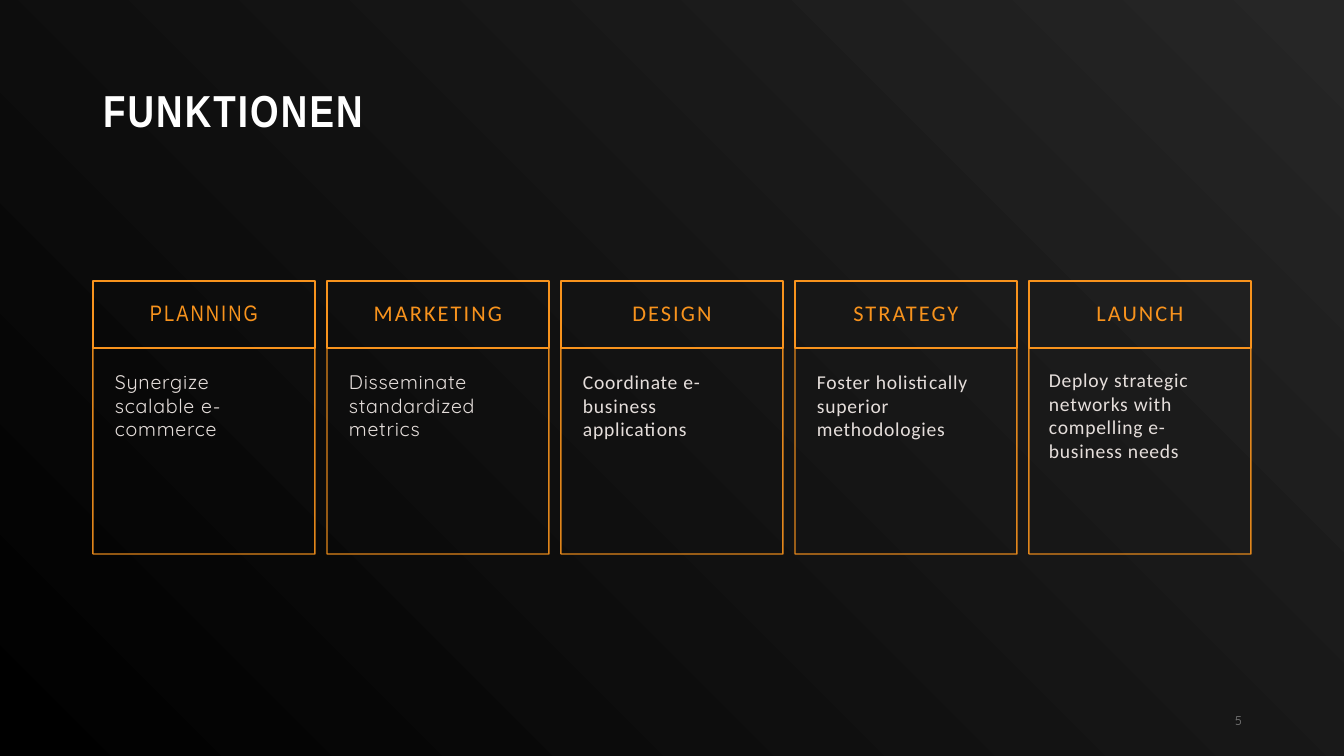
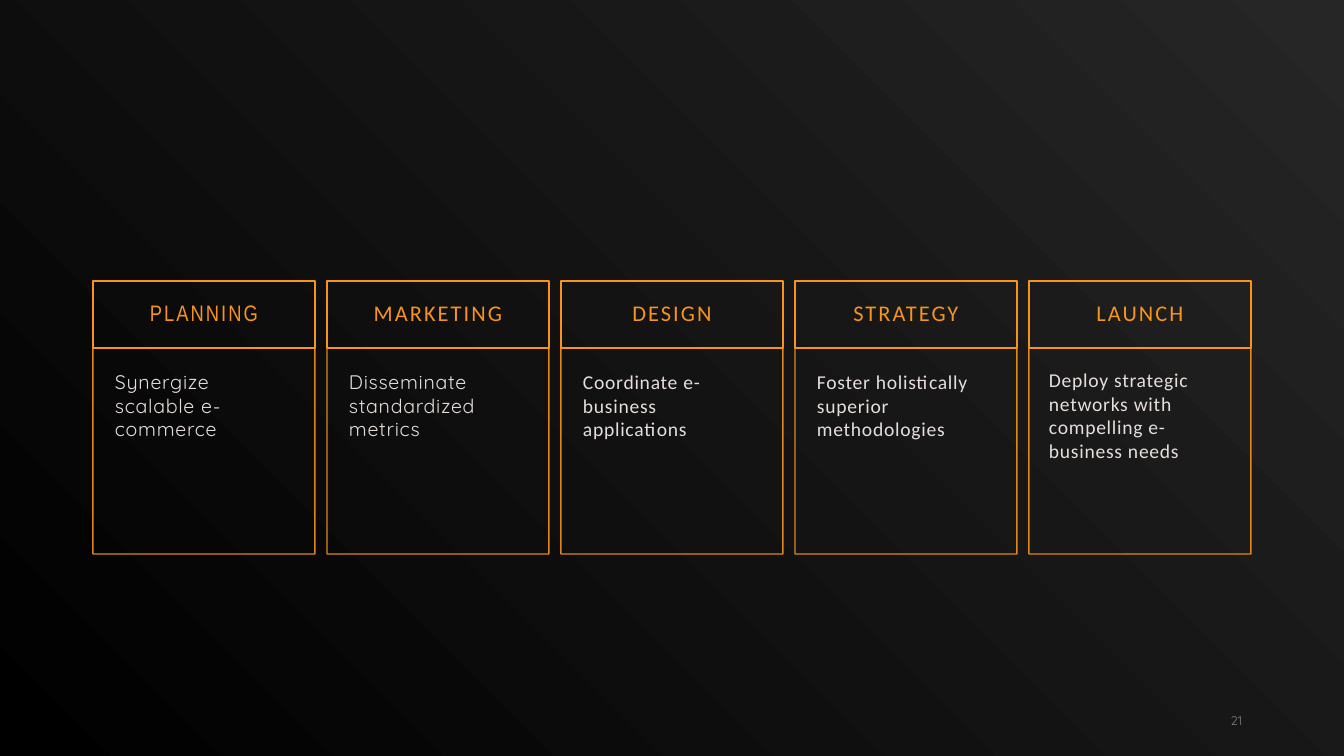
from lxml import etree
from pptx import Presentation
from pptx.dml.color import RGBColor
from pptx.enum.shapes import MSO_SHAPE
from pptx.enum.text import MSO_ANCHOR, PP_ALIGN
from pptx.oxml.ns import qn
from pptx.util import Emu, Pt

RECTANGLE = MSO_SHAPE.RECTANGLE
TOP, MIDDLE = MSO_ANCHOR.TOP, MSO_ANCHOR.MIDDLE
LEFT, CENTER, RIGHT = PP_ALIGN.LEFT, PP_ALIGN.CENTER, PP_ALIGN.RIGHT

PX_PER_INCH = 100.8
TITLE_ONLY, BLANK = 5, 6
NARROW, SANS, ROUND = "Arial Narrow", "Calibri", "Quicksand"
BLACK, CHARCOAL, WHITE = "000000", "262626", "FFFFFF"
ORANGE, CREAM, GREY = "F8931D", "E5DEDB", "808080"

CARD_LEFT, CARD_STEP, CARD_WIDTH = 93, 234, 222
HEADING_TOP, HEADING_HEIGHT = 281, 67
BODY_TOP, BODY_HEIGHT = HEADING_TOP + HEADING_HEIGHT, 206
HEADING_INSET = 17

PHASES = [
    ("PLANNING", NARROW, "Synergize scalable e-commerce", ROUND, 22),
    ("MARKETING", SANS, "Disseminate standardized metrics", ROUND, 22),
    ("DESIGN", SANS, "Coordinate e-business applications", SANS, 22),
    ("STRATEGY", SANS, "Foster holistically superior methodologies", SANS, 22),
    ("LAUNCH", SANS, "Deploy strategic networks with compelling e-business needs", SANS, 20),
]
PAGES = [("FUNKTIONEN", "5"), (None, "21")]


def px(length):
    return Emu(round(length * 914400 / PX_PER_INCH))


def rgb(value):
    return RGBColor.from_string(value)


class Deck:
    """Holds the shared style and the slide being built."""

    def __init__(self):
        self.prs = Presentation()
        self.prs.slide_width, self.prs.slide_height = px(1344), px(756)
        backdrop = self.prs.slide_master.background.fill
        backdrop.gradient()
        backdrop.gradient_angle = 45
        for stop, shade in zip(backdrop.gradient_stops, (BLACK, CHARCOAL)):
            stop.color.rgb = rgb(shade)
        self.slide = None

    def start(self, layout):
        self.slide = self.prs.slides.add_slide(self.prs.slide_layouts[layout])

    def put_text(self, shape, text, font, size, color, align=LEFT, anchor=MIDDLE,
                 tracking=0, spacing=None, inset=None, bold=False):
        frame = shape.text_frame
        frame.word_wrap = True
        frame.vertical_anchor = anchor
        if inset is not None:
            frame.margin_left = frame.margin_right = px(inset)
            frame.margin_top = frame.margin_bottom = px(inset)
        paragraph = frame.paragraphs[0]
        paragraph.alignment = align
        paragraph.line_spacing = spacing
        run = paragraph.add_run()
        run.text = text
        run.font.name, run.font.size, run.font.bold = font, Pt(size), bold
        run.font.color.rgb = rgb(color)
        run._r.get_or_add_rPr().set("spc", str(round(tracking * 100)))

    def title(self, text):
        title = self.slide.shapes.title
        title.left, title.top, title.width, title.height = map(px, (93, 39, 1160, 148))
        self.put_text(title, text, NARROW, 32, WHITE, tracking=1.5, spacing=0.9, bold=True)

    def frame(self, left, top, width, height, opacity=100):
        frame = self.slide.shapes.add_shape(RECTANGLE, *map(px, (left, top, width, height)))
        frame.shadow.inherit = False
        frame.fill.background()
        frame.line.color.rgb = rgb(ORANGE)
        frame.line.width = Pt(1)
        if opacity < 100:
            color = frame.element.spPr.find(".//" + qn("a:srgbClr"))
            etree.SubElement(color, qn("a:alpha"), val=str(opacity * 1000))
        return frame

    def card(self, left, heading, heading_font, body, body_font, body_inset):
        header = self.frame(left, HEADING_TOP, CARD_WIDTH, HEADING_HEIGHT)
        self.put_text(header, heading, heading_font, 16, ORANGE, align=CENTER,
                      tracking=1.5, spacing=0.9, inset=HEADING_INSET)
        panel = self.frame(left, BODY_TOP, CARD_WIDTH, BODY_HEIGHT, opacity=90)
        self.put_text(panel, body, body_font, 14, CREAM, anchor=TOP,
                      tracking=0.5, inset=body_inset)

    def page_number(self, number):
        footer = self.slide.shapes.add_textbox(*map(px, (950, 701, 302, 40)))
        self.put_text(footer, number, ROUND, 9, GREY, align=RIGHT)


def main():
    deck = Deck()
    for title, number in PAGES:
        deck.start(TITLE_ONLY if title else BLANK)
        if title:
            deck.title(title)
        for index, phase in enumerate(PHASES):
            deck.card(CARD_LEFT + index * CARD_STEP, *phase)
        deck.page_number(number)
    deck.prs.save("out.pptx")


if __name__ == "__main__":
    main()
